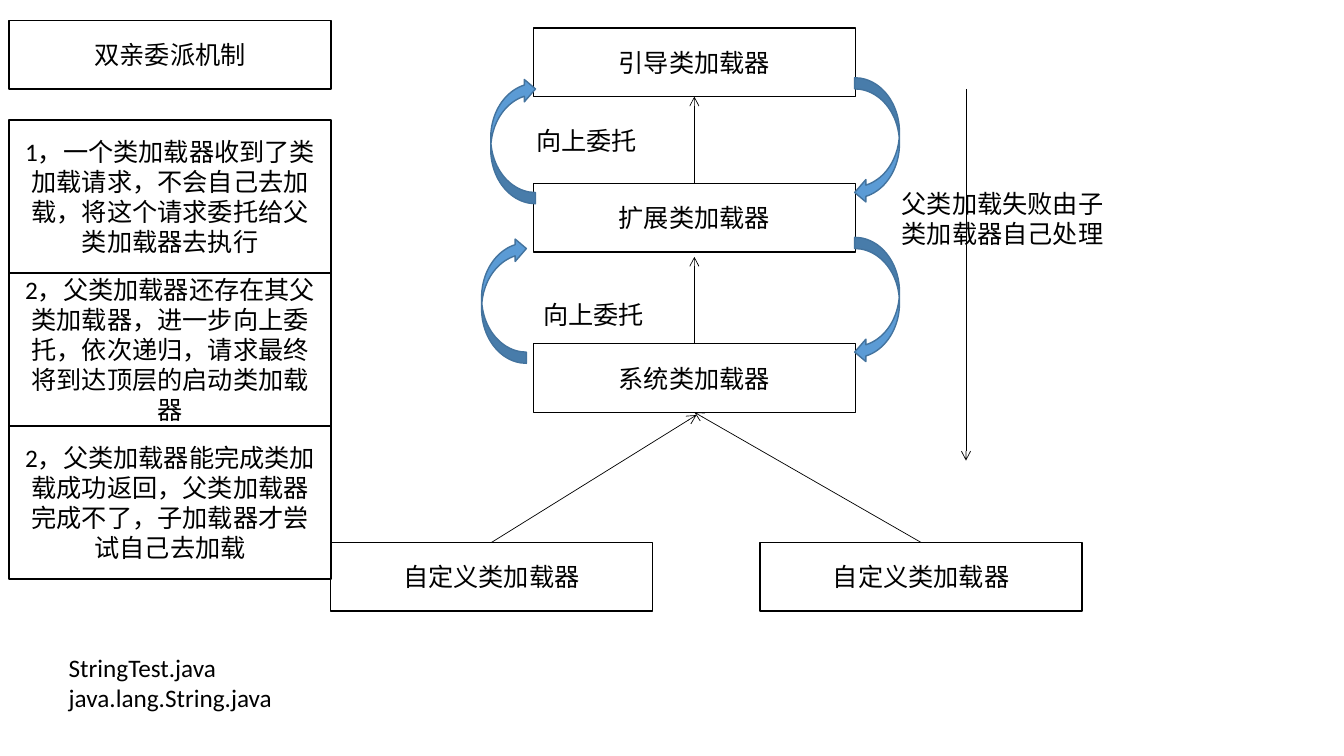
from pptx import Presentation
from pptx.dml.color import RGBColor
from pptx.enum.shapes import MSO_CONNECTOR, MSO_SHAPE
from pptx.enum.text import MSO_ANCHOR, MSO_AUTO_SIZE, PP_ALIGN
from pptx.oxml.ns import qn
from pptx.util import Pt
from lxml.etree import SubElement


def color(value):
    return RGBColor.from_string(value)


class Sketch:
    font, size = "Calibri", 18
    ink, paper = "000000", "FFFFFF"
    arrow_fill, arrow_line = "5B9BD5", "43739E"

    def __init__(self, page):
        self.page = page

    def paint(self, shape, fill, line):
        shape.fill.solid()
        shape.fill.fore_color.rgb = color(fill)
        shape.line.color.rgb = color(line)
        shape.line.width = Pt(1)

    def add_text(self, shape, lines, align, anchor):
        frame = shape.text_frame
        frame.word_wrap = True
        frame.auto_size = MSO_AUTO_SIZE.NONE
        frame.vertical_anchor = anchor
        for index, line in enumerate(lines):
            para = frame.add_paragraph() if index else frame.paragraphs[0]
            para.alignment = align
            span = para.add_run()
            span.text = line
            span.font.name = self.font
            span.font.size = Pt(self.size)
            span.font.color.rgb = color(self.ink)

    def frame_text(self, shape, text):
        self.paint(shape, self.paper, self.ink)
        self.add_text(shape, [text], PP_ALIGN.CENTER, MSO_ANCHOR.MIDDLE)

    def title(self, text, left, top, width, height):
        title = self.page.shapes.title
        title.left, title.top = Pt(left), Pt(top)
        title.width, title.height = Pt(width), Pt(height)
        self.frame_text(title, text)

    def box(self, text, left, top, width, height):
        box = self.page.shapes.add_shape(
            MSO_SHAPE.RECTANGLE, Pt(left), Pt(top), Pt(width), Pt(height))
        box.shadow.inherit = False
        self.frame_text(box, text)

    def label(self, lines, left, top, width, height):
        label = self.page.shapes.add_textbox(
            Pt(left), Pt(top), Pt(width), Pt(height))
        self.add_text(label, lines, PP_ALIGN.LEFT, MSO_ANCHOR.TOP)

    def arrow(self, x1, y1, x2, y2):
        arrow = self.page.shapes.add_connector(
            MSO_CONNECTOR.STRAIGHT, Pt(x1), Pt(y1), Pt(x2), Pt(y2))
        arrow.line.color.rgb = color(self.ink)
        arrow.line.width = Pt(0.5)
        properties = arrow._element.spPr
        SubElement(properties.find(qn("a:ln")), qn("a:tailEnd"), type="arrow")
        SubElement(properties, qn("a:effectLst"))

    def curved_arrow(self, left, top, rotation):
        curve = self.page.shapes.add_shape(
            MSO_SHAPE.CURVED_LEFT_ARROW, Pt(left), Pt(top), Pt(32), Pt(90))
        curve.rotation = rotation
        curve.shadow.inherit = False
        self.paint(curve, self.arrow_fill, self.arrow_line)


deck = Presentation()
deck.slide_width, deck.slide_height = Pt(960), Pt(540)
page = deck.slides.add_slide(deck.slide_layouts[5])
sketch = Sketch(page)

WIDTH, HEIGHT = 230, 49
MARGIN, LOADER_LEFT = 6.5, 381
LOADER_MIDDLE = LOADER_LEFT + WIDTH / 2

sketch.title("双亲委派机制", MARGIN, 14.5, WIDTH, HEIGHT)

# Loader hierarchy
for name, top in [("引导类加载器", 20), ("扩展类加载器", 131),
                  ("系统类加载器", 245.5)]:
    sketch.box(name, LOADER_LEFT, top, WIDTH, HEIGHT)
for left in (236, 543):
    sketch.box("自定义类加载器", left, 387.5, WIDTH, HEIGHT)

# Arrows from child to parent
for start in (131, 245.5):
    sketch.arrow(LOADER_MIDDLE, start, LOADER_MIDDLE, start - 62)
sketch.arrow(351, 387.5, 497.5, 296.5)
sketch.arrow(658, 387.5, LOADER_MIDDLE, 294.5)

# Delegation labels and downward arrow
sketch.label(["向上委托"], 376, 86, 167, 29)
sketch.label(["向上委托"], 381, 210, 167, 29)
sketch.label(["父类加载失败由子类加载器自己处理"], 637, 131, 167, 51)
sketch.arrow(690, 63.5, 690, 329)

# Steps of the mechanism
STEPS = [
    "1，一个类加载器收到了类加载请求，不会自己去加载，将这个请求委托给父类加载器去执行",
    "2，父类加载器还存在其父类加载器，进一步向上委托，依次递归，请求最终将到达顶层的启动类加载器",
    "2，父类加载器能完成类加载成功返回，父类加载器完成不了，子加载器才尝试自己去加载",
]
STEP_HEIGHT = 109.25
for index, step in enumerate(STEPS):
    sketch.box(step, MARGIN, 85.75 + index * STEP_HEIGHT, WIDTH, STEP_HEIGHT)

# Curved arrows: down on the right, up on the left
for top, up_left in [(55.5, 350.5), (169.5, 344)]:
    sketch.curved_arrow(LOADER_LEFT + WIDTH - 0.5, top, 0)
    sketch.curved_arrow(up_left, top, 180)

# Example files
sketch.label(["StringTest.java", "java.lang.String.java"], 42, 462.5, 332, 51)

deck.save("out.pptx")
